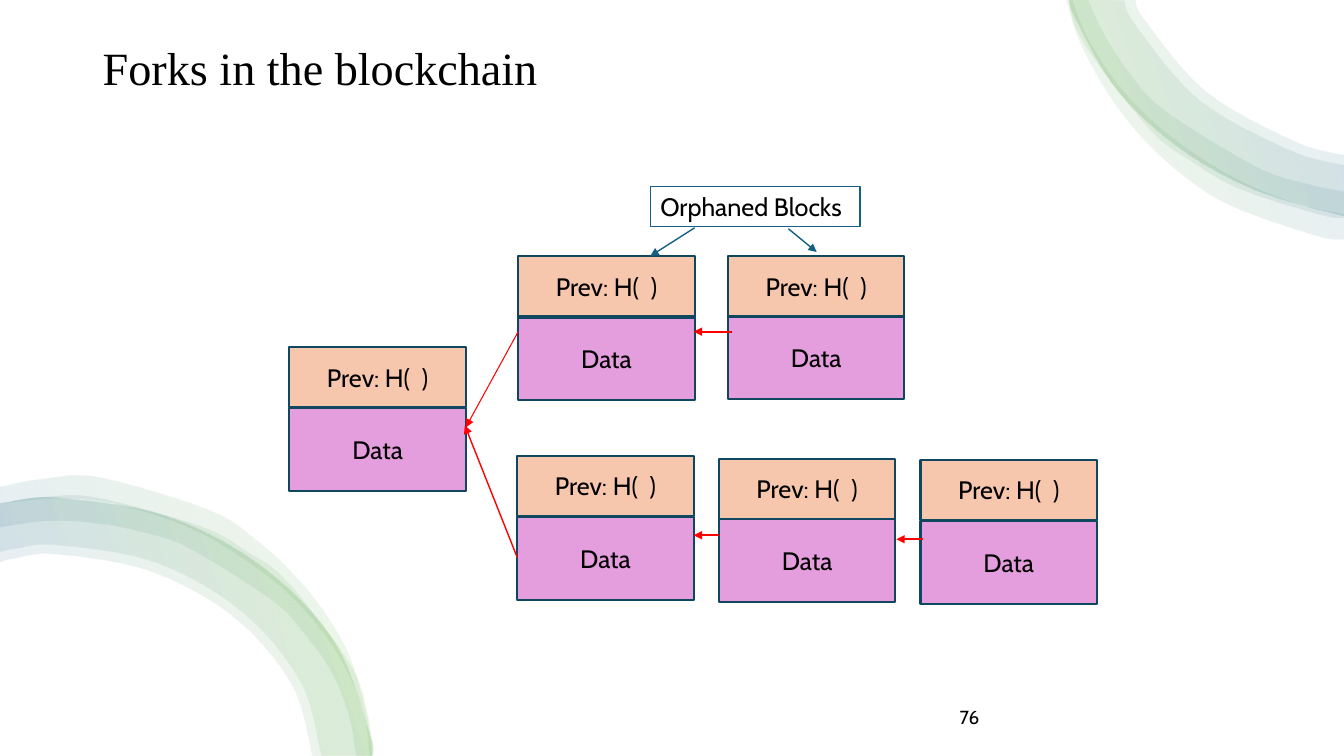
from lxml import etree
from pptx import Presentation
from pptx import util as u
from pptx.dml.color import RGBColor
from pptx.enum import shapes, text
from pptx.oxml import parse_xml
from pptx.oxml.ns import nsdecls, qn

hex_color = RGBColor.from_string


def write(holder, words, size, font="Cabin", align=text.PP_ALIGN.LEFT, anchor=text.MSO_ANCHOR.TOP):
    frame = holder.text_frame
    frame.word_wrap = True
    frame.vertical_anchor = anchor
    line = frame.paragraphs[0]
    line.alignment = align
    run = line.add_run()
    run.text = words
    run.font.size = u.Pt(size)
    run.font.name = font
    run.font.color.rgb = hex_color("000000")
    return line


def round_edge(corners):
    spots = [(int(c[0].get("x")), int(c[0].get("y"))) for c in corners]
    padded = [spots[0], *spots, spots[-1]]
    for corner, a, b, c, d in zip(corners[1:], padded, padded[1:], padded[2:], padded[3:]):
        leave = [q + (r - p) // 6 for p, q, r in zip(a, b, c)]
        arrive = [r - (s - q) // 6 for q, r, s in zip(b, c, d)]
        corner.tag = qn("a:cubicBezTo")
        for place, (x, y) in enumerate([leave, arrive]):
            corner.insert(place, etree.Element(qn("a:pt"), x=str(x), y=str(y)))


deck = Presentation()
deck.slide_width, deck.slide_height = u.Inches(13.33), u.Inches(7.5)
slide = deck.slides.add_slide(deck.slide_layouts[6])

top_rim = [(10.61, 0), (10.67, 0.19), (11.07, 0.88), (11.67, 1.45), (12.41, 1.87), (13.23, 2.12), (13.33, 2.13)]
bottom_rim = [(3.68, 7.5), (3.66, 7.29), (3.31, 6.37), (2.59, 5.62), (1.64, 5.12), (0.56, 4.94), (0.05, 4.99), (0, 5)]
top_bands = [
    ([(10.58, 0.01), (10.71, 0.41), (10.97, 0.9), (11.31, 1.35), (11.73, 1.74), (12.22, 2.05), (13.05, 2.34), (13.33, 2.38)],
     [(10.64, 0.01), (10.79, 0.38), (11.08, 0.83), (11.45, 1.22), (11.88, 1.55), (12.35, 1.82), (12.85, 2.02), (13.33, 2.13)]),
    (top_rim,
     [(11.26, 0), (11.36, 0.21), (11.96, 0.91), (12.83, 1.4), (13.33, 1.54)]),
    ([(10.6, 0.01), (10.75, 0.43), (11.4, 1.28), (11.83, 1.61), (12.31, 1.88), (13.1, 2.13), (13.33, 2.16)],
     [(10.8, 0.01), (10.95, 0.34), (11.22, 0.75), (11.57, 1.11), (12.43, 1.64), (12.91, 1.81), (13.33, 1.9)]),
    (top_rim,
     [(11.15, 0.01), (11.27, 0.26), (11.89, 0.99), (12.79, 1.49), (13.33, 1.64)]),
]
bottom_bands = [
    (bottom_rim,
     [(3.09, 7.5), (2.89, 6.8), (2.32, 6.13), (1.49, 5.67), (0.56, 5.5), (0.15, 5.54), (0, 5.58)]),
    (bottom_rim,
     [(3.18, 7.5), (2.97, 6.76), (2.38, 6.06), (1.53, 5.58), (0.56, 5.41), (0.13, 5.45), (0, 5.48)]),
    ([(3.68, 7.5), (3.63, 7.06), (3.46, 6.59), (2.85, 5.78), (2.44, 5.47), (1.98, 5.22), (0.97, 4.94), (0.44, 4.93), (0, 4.99)],
     [(3.52, 7.5), (3.45, 7.1), (3.28, 6.67), (3.01, 6.29), (2.68, 5.95), (1.87, 5.44), (1.41, 5.28), (0.94, 5.19), (0.45, 5.17), (0, 5.23)]),
    ([(3.69, 7.5), (3.69, 7.36), (3.5, 6.61), (3.26, 6.14), (2.93, 5.72), (2.53, 5.35), (2.07, 5.06), (1, 4.74), (0.43, 4.75), (0, 4.83)],
     [(3.66, 7.5), (3.61, 7.11), (3.43, 6.64), (3.15, 6.21), (2.8, 5.84), (2.39, 5.53), (1.95, 5.27), (1.47, 5.09), (0.97, 4.97), (0.45, 4.95), (0, 5)]),
]
stops = "".join(
    f'<a:gs pos="{place}000"><a:srgbClr val="{color}"><a:alpha val="10000"/></a:srgbClr></a:gs>'
    for place, color in [(2, "FFFFFF"), (16, "4EA72E"), (85, "156082"), (100, "FFFFFF")])

for bands, angle in [(top_bands, 340), (bottom_bands, 160)]:
    for outer, inner in bands:
        outline = [(u.Inches(x), u.Inches(y)) for x, y in outer + inner[::-1]]
        builder = slide.shapes.build_freeform(*outline[0])
        builder.add_line_segments(outline[1:], close=True)
        band = builder.convert_to_shape()
        corners = [pt.getparent() for pt in band.element.spPr.iter(qn("a:pt"))][:len(outline)]
        round_edge(corners[:len(outer)])
        round_edge(corners[len(outer):])
        band.shadow.inherit = False
        band.line.fill.background()
        band.fill.background()
        no_fill = band.element.spPr.find(qn("a:noFill"))
        band.element.spPr.replace(no_fill, parse_xml(
            f'<a:gradFill rotWithShape="1" {nsdecls("a")}><a:gsLst>{stops}</a:gsLst>'
            f'<a:lin ang="{angle * 60000}" scaled="0"/></a:gradFill>'))

title = slide.shapes.add_textbox(u.Inches(0.92), u.Inches(0.4), u.Inches(11.5), u.Inches(1.45))
write(title, "Forks in the blockchain", 33, "Times New Roman").line_spacing = 0.9
page_number = slide.shapes.add_textbox(u.Inches(9.42), u.Inches(6.95), u.Inches(2.25), u.Inches(0.4))
write(page_number, "76", 13.5)

for left, prev_top, data_top in [(2.87, 3.44, 4.05), (5.14, 2.54, 3.15), (7.22, 2.54, 3.14),
                                 (5.13, 4.52, 5.13), (7.13, 4.55, 5.15), (9.13, 4.56, 5.17)]:
    for words, top, height, color in [("Prev: H(  )", prev_top, 0.6, "F6C6AD"),
                                      ("Data", data_top, 0.82, "E59EDD")]:
        part = slide.shapes.add_shape(shapes.MSO_SHAPE.RECTANGLE, u.Inches(left), u.Inches(top),
                                      u.Inches(1.75), u.Inches(height))
        part.shadow.inherit = False
        part.fill.solid()
        part.fill.fore_color.rgb = hex_color(color)
        part.line.color.rgb = hex_color("104760")
        part.line.width = u.Pt(1.5)
        write(part, words, 18, align=text.PP_ALIGN.CENTER, anchor=text.MSO_ANCHOR.MIDDLE)

orphan_label = slide.shapes.add_shape(shapes.MSO_SHAPE.RECTANGLE, u.Inches(6.45), u.Inches(1.85),
                                      u.Inches(2.08), u.Inches(0.4))
orphan_label.shadow.inherit = False
orphan_label.fill.background()
orphan_label.line.color.rgb = hex_color("156082")
orphan_label.line.width = u.Pt(0.75)
write(orphan_label, "Orphaned Blocks", 18)
orphan_label.text_frame.word_wrap = False
orphan_label.text_frame.auto_size = text.MSO_AUTO_SIZE.SHAPE_TO_FIT_TEXT

for x1, y1, x2, y2, color, weight in [
    (5.14, 3.29, 4.62, 4.24, "FF0000", 0.75),
    (5.13, 5.53, 4.61, 4.22, "FF0000", 1),
    (7.13, 5.31, 6.88, 5.31, "FF0000", 1.5),
    (9.15, 5.35, 8.89, 5.35, "FF0000", 1.5),
    (7.26, 3.29, 6.88, 3.29, "FF0000", 1.5),
    (6.89, 2.26, 6.45, 2.54, "156082", 1),
    (7.82, 2.27, 8.1, 2.5, "156082", 1),
]:
    arrow = slide.shapes.add_connector(shapes.MSO_CONNECTOR.STRAIGHT, u.Inches(x1), u.Inches(y1),
                                       u.Inches(x2), u.Inches(y2))
    arrow.line.color.rgb = hex_color(color)
    arrow.line.width = u.Pt(weight)
    outline_xml = arrow.element.spPr.find(qn("a:ln"))
    etree.SubElement(outline_xml, qn("a:tailEnd"), type="triangle")
    etree.SubElement(arrow.element.spPr, qn("a:effectLst"))

deck.save("out.pptx")
